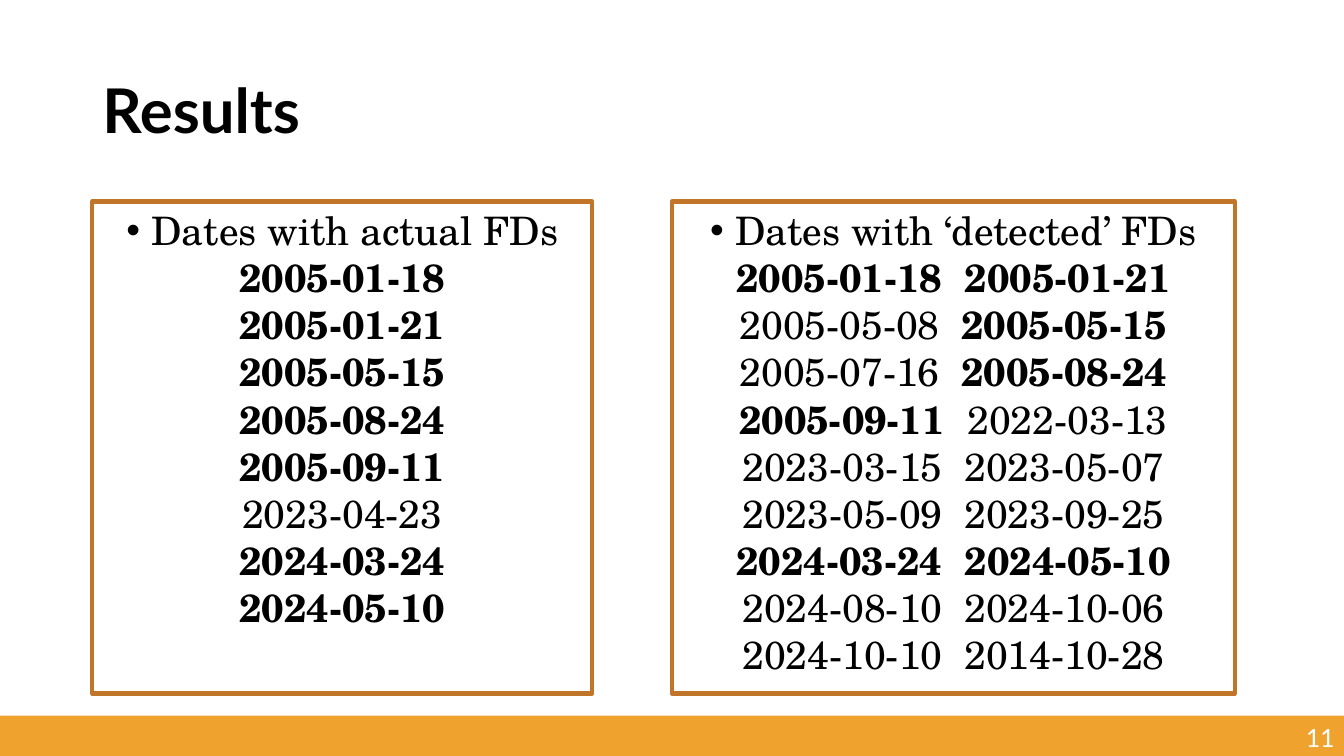
from lxml.etree import SubElement
from pptx import Presentation
from pptx.dml.color import RGBColor
from pptx.enum.shapes import MSO_SHAPE as Preset
from pptx.enum.text import MSO_ANCHOR as Anchor, MSO_AUTO_SIZE as AutoSize, PP_ALIGN as Align
from pptx.oxml.ns import qn
from pptx.util import Pt

BLACK = RGBColor(0x00, 0x00, 0x00)
WHITE = RGBColor(0xFF, 0xFF, 0xFF)
ORANGE = RGBColor(0xF0, 0xA2, 0x2E)
BROWN = RGBColor(0xC1, 0x75, 0x29)

SLIDE_WIDTH, SLIDE_HEIGHT = 960, 540
FOOTER_HEIGHT = 28.8
FOOTER_TOP = SLIDE_HEIGHT - FOOTER_HEIGHT
PANEL_TOP, PANEL_HEIGHT = 144, 351.36

ACTUAL = [
    ["2005-01-18"], ["2005-01-21"], ["2005-05-15"], ["2005-08-24"],
    ["2005-09-11"], ["2023-04-23"], ["2024-03-24"], ["2024-05-10"],
]
DETECTED = [
    ["2005-01-18", "2005-01-21"],
    ["2005-05-08", "2005-05-15"],
    ["2005-07-16", "2005-08-24"],
    ["2005-09-11", "2022-03-13"],
    ["2023-03-15", "2023-05-07"],
    ["2023-05-09", "2023-09-25"],
    ["2024-03-24", "2024-05-10"],
    ["2024-08-10", "2024-10-06"],
    ["2024-10-10", "2014-10-28"],
]
MATCHES = set(sum(ACTUAL, [])) & set(sum(DETECTED, []))


def add_text(paragraph, text, font="TeX Gyre Schola", size=28, color=BLACK,
             bold=False, align=Align.CENTER):
    paragraph.alignment = align
    run = paragraph.add_run()
    run.text = text
    run.font.name = font
    run.font.size = Pt(size)
    run.font.bold = bold
    run.font.color.rgb = color


def add_rectangle(slide, left, top, width, height):
    rectangle = slide.shapes.add_shape(
        Preset.RECTANGLE, Pt(left), Pt(top), Pt(width), Pt(height))
    rectangle.shadow.inherit = False
    return rectangle


def add_bullet(paragraph):
    properties = paragraph._p.get_or_add_pPr()
    properties.set("marL", str(Pt(18)))
    properties.set("indent", str(-Pt(18)))
    SubElement(properties, qn("a:buFont")).set("typeface", "Arial")
    SubElement(properties, qn("a:buChar")).set("char", "•")


def add_date_panel(slide, left, width, heading, rows):
    """Framed list of dates; those found in both lists are bold."""
    panel = add_rectangle(slide, left, PANEL_TOP, width, PANEL_HEIGHT)
    panel.fill.background()
    panel.line.color.rgb = BROWN
    panel.line.width = Pt(3)

    frame = panel.text_frame
    frame.word_wrap = True
    frame.vertical_anchor = Anchor.TOP
    heading_line = frame.paragraphs[0]
    heading_line.space_before = Pt(10)
    add_text(heading_line, heading)
    add_bullet(heading_line)
    for dates in rows:
        date_line = frame.add_paragraph()
        for position, date in enumerate(dates, start=1):
            gap = "  " if position < len(dates) else ""
            add_text(date_line, date + gap, bold=date in MATCHES)


def add_title(slide, text):
    title = slide.shapes.title
    title.left, title.top, title.width, title.height = Pt(66), Pt(28.8), Pt(828), Pt(104.4)
    frame = title.text_frame
    frame.auto_size = AutoSize.NONE
    frame.vertical_anchor = Anchor.MIDDLE
    frame.paragraphs[0].line_spacing = 0.9
    add_text(frame.paragraphs[0], text, font="Lato", size=44, bold=True, align=Align.LEFT)


def add_footer(slide, number):
    bar = add_rectangle(slide, 0, FOOTER_TOP, SLIDE_WIDTH, FOOTER_HEIGHT)
    bar.fill.solid()
    bar.fill.fore_color.rgb = ORANGE
    bar.line.fill.background()

    number_width = 52.8
    page_number = slide.shapes.add_textbox(
        Pt(SLIDE_WIDTH - number_width), Pt(FOOTER_TOP), Pt(number_width), Pt(FOOTER_HEIGHT))
    frame = page_number.text_frame
    frame.word_wrap = True
    frame.vertical_anchor = Anchor.MIDDLE
    add_text(frame.paragraphs[0], number, font="Calibri", size=20, color=WHITE,
             align=Align.RIGHT)


def main():
    deck = Presentation()
    deck.slide_width, deck.slide_height = Pt(SLIDE_WIDTH), Pt(SLIDE_HEIGHT)
    title_only = deck.slide_layouts[5]
    slide = deck.slides.add_slide(title_only)
    add_title(slide, "Results")
    add_date_panel(slide, 66, 357.12, "Dates with actual FDs", ACTUAL)
    add_footer(slide, "11")
    add_date_panel(slide, 480, 402, "Dates with ‘detected’ FDs", DETECTED)
    deck.save("out.pptx")


if __name__ == "__main__":
    main()
